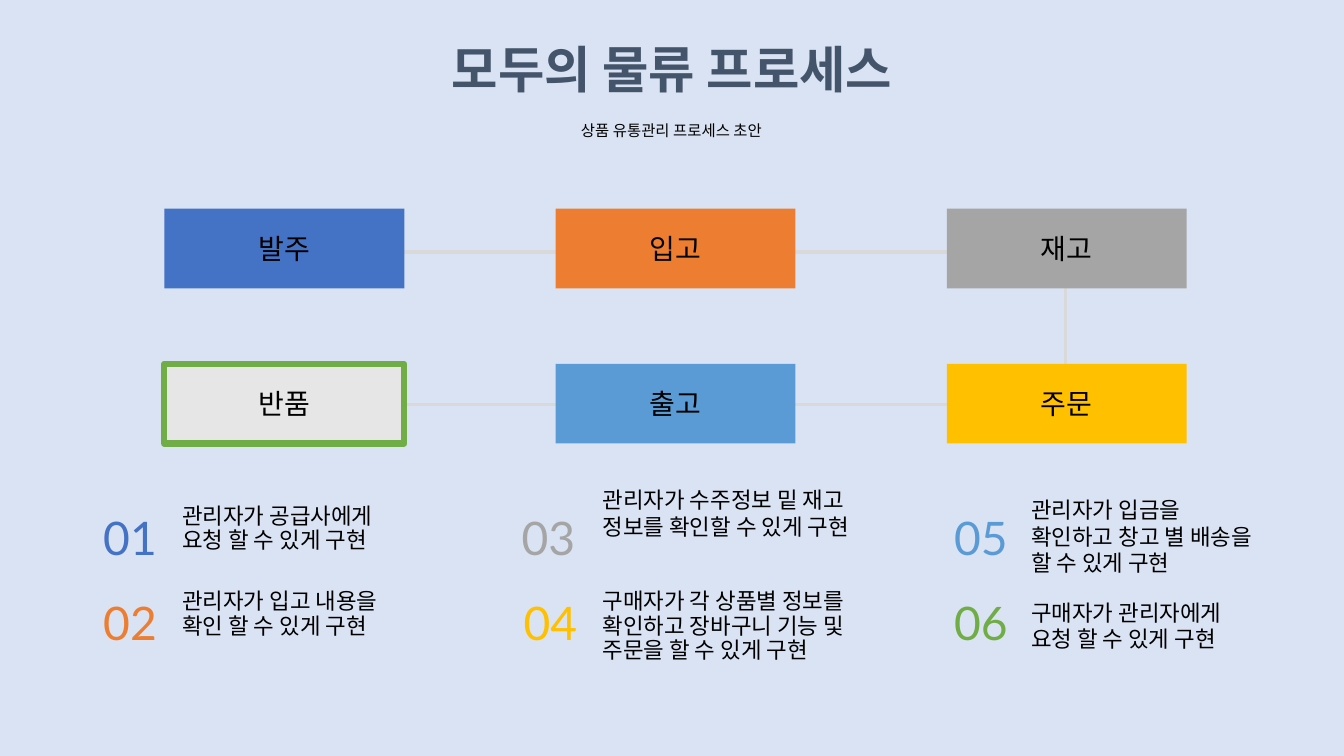
from pptx import Presentation
from pptx.dml.color import RGBColor
from pptx.enum.shapes import MSO_SHAPE as Shape
from pptx.enum.text import MSO_ANCHOR as Anchor, MSO_AUTO_SIZE as AutoSize, PP_ALIGN as Align
from pptx.util import Pt

EMU_PER_PX = 9144

PALE_BLUE = RGBColor(0xDA, 0xE3, 0xF3)
LINE_GRAY = RGBColor(0xD9, 0xD9, 0xD9)
LIGHT_GRAY = RGBColor(0xE7, 0xE6, 0xE6)
SLATE = RGBColor(0x44, 0x54, 0x6A)
BLACK = RGBColor(0x00, 0x00, 0x00)
BLUE = RGBColor(0x44, 0x72, 0xC4)
ORANGE = RGBColor(0xED, 0x7D, 0x31)
GRAY = RGBColor(0xA5, 0xA5, 0xA5)
YELLOW = RGBColor(0xFF, 0xC0, 0x00)
SKY = RGBColor(0x5B, 0x9B, 0xD5)
GREEN = RGBColor(0x70, 0xAD, 0x47)

STEP_LEFT, STEP_TOP = 163, 207
STEP_WIDTH, STEP_HEIGHT = 238, 79
COLUMN_PITCH, ROW_PITCH = 388, 154
ROUTE = [(290, 250), (1057, 250), (1057, 401), (279, 401)]

STEPS = [
    ("발주", 0, 0, BLUE, None),
    ("입고", 1, 0, ORANGE, None),
    ("재고", 2, 0, GRAY, None),
    ("주문", 2, 1, YELLOW, None),
    ("출고", 1, 1, SKY, None),
    ("반품", 0, 1, LIGHT_GRAY, GREEN),
]

NOTES = [
    ("01", BLUE, (69, 477), "관리자가 공급사에게 요청 할 수 있게 구현", (171, 496, 252, 59), 0.9),
    ("02", ORANGE, (69, 562), "관리자가 입고 내용을 확인 할 수 있게 구현", (171, 581, 252, 59), 0.9),
    ("03", GRAY, (484, 477), "관리자가 수주정보 밑 재고 정보를 확인할 수 있게 구현",
     (588, 477, 275, 91), 1.0),
    ("04", YELLOW, (486, 562), "구매자가 각 상품별 정보를 확인하고 장바구니 기능 및 주문을 할 수 있게 구현",
     (588, 581, 275, 107), 0.9),
    ("05", SKY, (913, 477), "관리자가 입금을 확인하고 창고 별 배송을 할 수 있게 구현",
     (1013, 487, 252, 91), 1.0),
    ("06", GREEN, (913, 562), "구매자가 관리자에게 요청 할 수 있게 구현", (1013, 589, 252, 64), 1.0),
]


def px(length):
    """Turn a length in px into EMU."""
    return length * EMU_PER_PX


def apply_format(target, values):
    """Set each named attribute of the target."""
    for name, value in values.items():
        setattr(target, name, value)


def write_text(box, text, size, color, font="Lato", bold=False, align=Align.CENTER,
               anchor=Anchor.MIDDLE, margins=(0, 0), wrap=True, paragraph=None):
    """Fill a box with one formatted paragraph."""
    across, down = margins
    frame = box.text_frame
    apply_format(frame, {
        "auto_size": AutoSize.NONE, "word_wrap": wrap, "vertical_anchor": anchor,
        "margin_left": px(across), "margin_right": px(across),
        "margin_top": px(down), "margin_bottom": px(down),
    })
    para = frame.paragraphs[0]
    apply_format(para, {"alignment": align, **(paragraph or {})})
    span = para.add_run()
    span.text = text
    apply_format(span.font, {"name": font, "size": Pt(size), "bold": bold})
    span.font.color.rgb = color


def place_heading(holder, area, text, **style):
    """Move a placeholder and write its heading."""
    apply_format(holder, dict(zip(("left", "top", "width", "height"), map(px, area))))
    write_text(holder, text, margins=(13, 7), paragraph={"space_before": Pt(0)}, **style)


def add_route(page):
    """Draw the line that runs behind the steps."""
    builder = page.shapes.build_freeform(*ROUTE[0], scale=EMU_PER_PX)
    builder.add_line_segments(ROUTE[1:], close=False)
    route = builder.convert_to_shape()
    route.shadow.inherit = False
    route.fill.background()
    route.line.color.rgb = LINE_GRAY
    route.line.width = Pt(2.25)


def add_step(page, label, column, row, fill, outline):
    """Add one process step at its place in the grid."""
    left = STEP_LEFT + column * COLUMN_PITCH
    top = STEP_TOP + row * ROW_PITCH
    box = page.shapes.add_shape(Shape.RECTANGLE, *map(px, (left, top, STEP_WIDTH, STEP_HEIGHT)))
    box.shadow.inherit = False
    box.fill.solid()
    box.fill.fore_color.rgb = fill
    if outline is None:
        box.line.fill.background()
    else:
        box.line.color.rgb = outline
        box.line.width = Pt(4.5)
    write_text(box, label, 20, BLACK)


def add_note(page, number, color, corner, text, area, spacing):
    """Add a coloured number and its description."""
    number_box = page.shapes.add_textbox(*map(px, (*corner, 120, 111)))
    write_text(number_box, number, 33, color)
    text_box = page.shapes.add_textbox(*map(px, area))
    write_text(text_box, text, 16, BLACK, align=Align.LEFT, anchor=Anchor.TOP, margins=(10, 5),
               paragraph={"line_spacing": spacing, "space_before": Pt(20)})


def main():
    """Build the logistics process slide."""
    deck = Presentation()
    apply_format(deck, {"slide_width": px(1333), "slide_height": px(750)})
    page = deck.slides.add_slide(deck.slide_layouts[0])
    page.background.fill.solid()
    page.background.fill.fore_color.rgb = PALE_BLUE
    place_heading(page.shapes.title, (375, 31, 583, 74), "모두의 물류 프로세스",
                  size=36, color=SLATE, font="Arial", bold=True)
    place_heading(page.placeholders[1], (554, 113, 224, 32), "상품 유통관리 프로세스 초안",
                  size=11, color=BLACK, font="Montserrat", wrap=False)
    add_route(page)
    for step in STEPS:
        add_step(page, *step)
    for note in NOTES:
        add_note(page, *note)
    deck.save("out.pptx")


if __name__ == "__main__":
    main()
